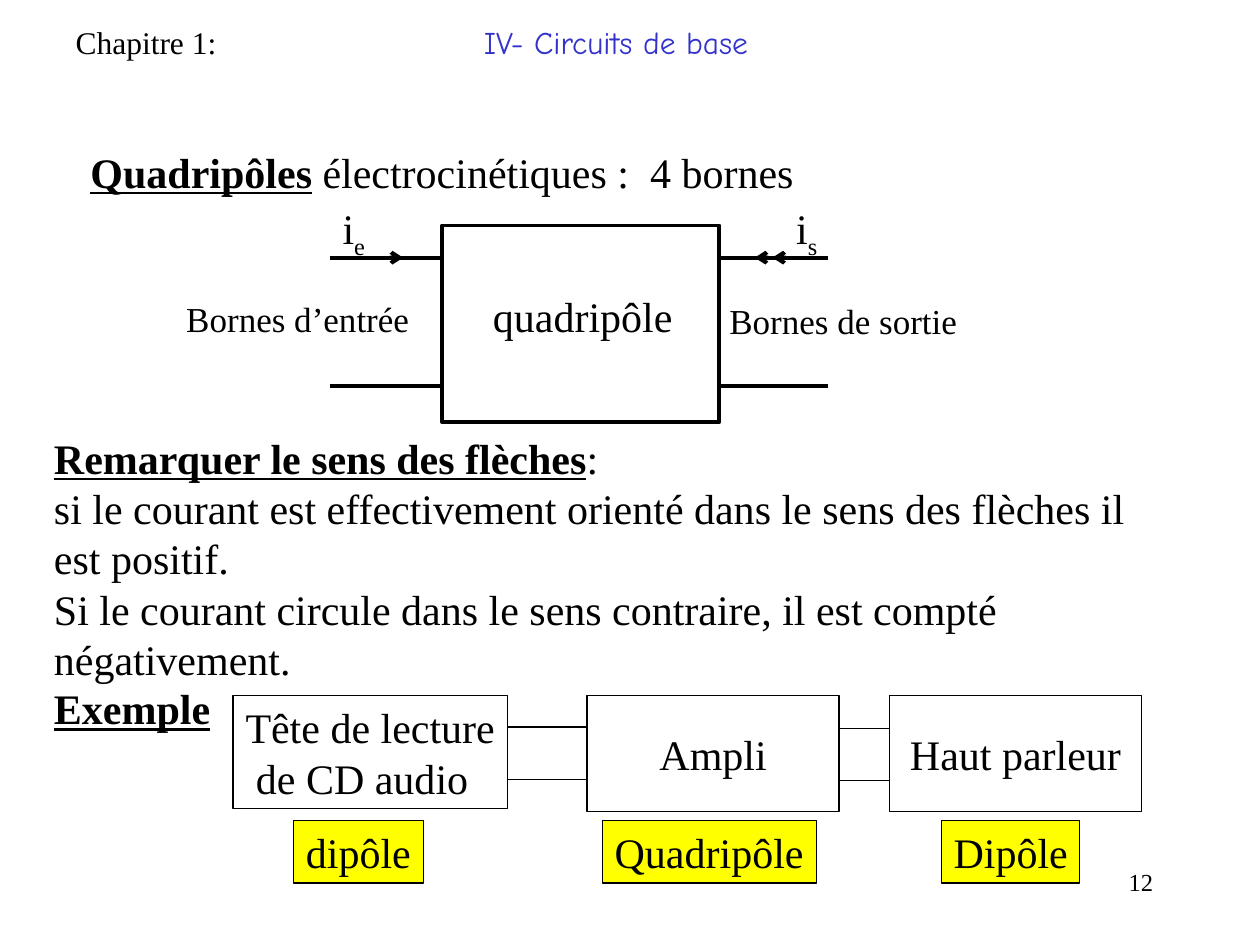
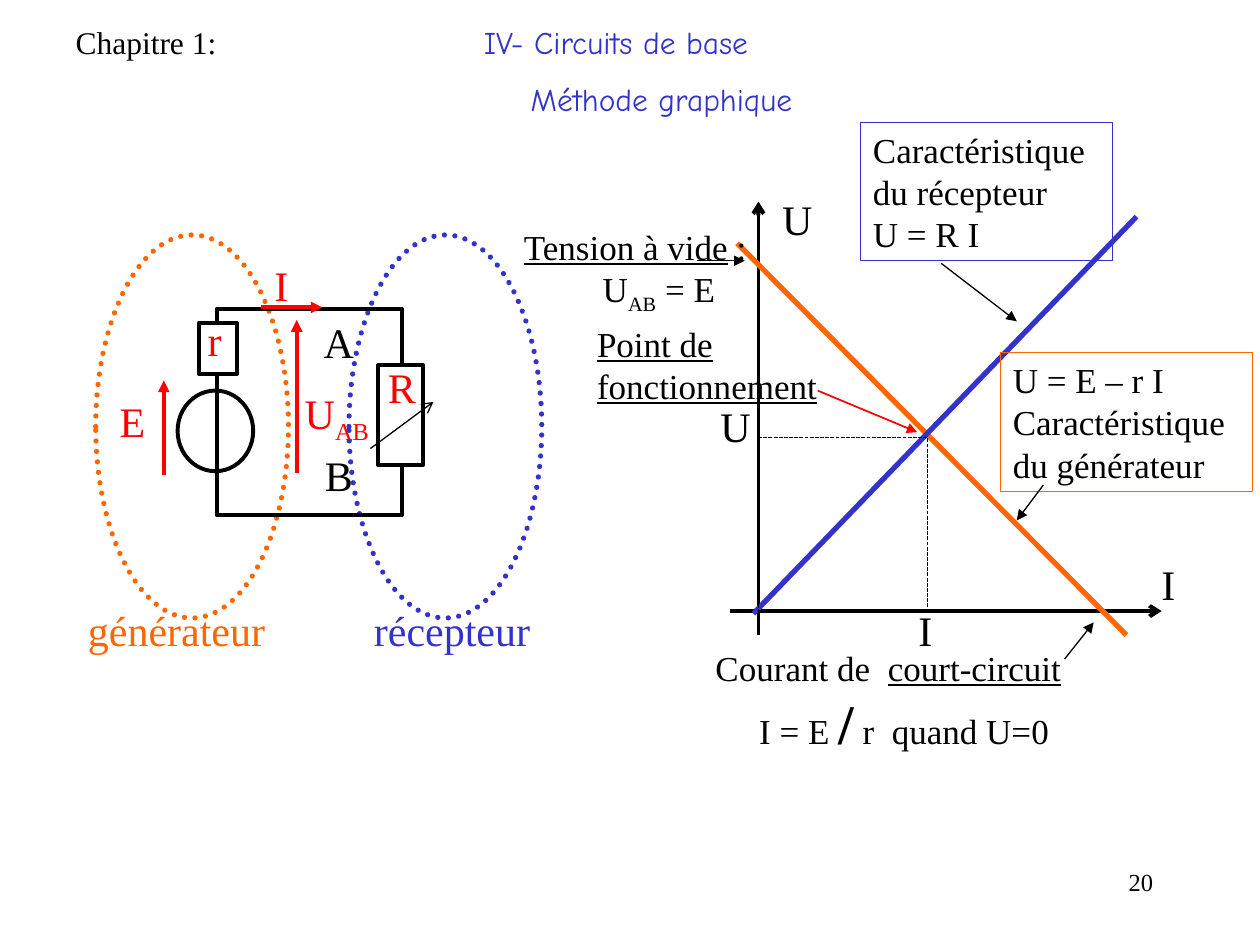
from dataclasses import dataclass

from lxml import etree
from pptx import Presentation
from pptx import util as u
from pptx.dml.color import RGBColor
from pptx.enum import dml, shapes, text
from pptx.oxml import ns

COLORS = {
    "ink": "000000",
    "paper": "FFFFFF",
    "title": "3333CC",
    "generator": "FF6600",
    "signal": "FF0000",
    "tag": "FFFF00",
}
BODY_FONT, TITLE_FONT = "Times New Roman", "Comic Neue"
CELL = u.Inches(10) // 100  # the slide is 100 columns by 75 rows
THIN, MEDIUM, THICK = 0.75, 2.25, 3
LEFT, CENTER, RIGHT = text.PP_ALIGN.LEFT, text.PP_ALIGN.CENTER, text.PP_ALIGN.RIGHT
TOP, MIDDLE = text.MSO_ANCHOR.TOP, text.MSO_ANCHOR.MIDDLE
RECT, OVAL = shapes.MSO_SHAPE.RECTANGLE, shapes.MSO_SHAPE.OVAL
STRONG = {"bold": True, "underline": True}
SUB = {"subscript": True}


@dataclass
class Para:
    """Spans of text, each a string or a (string, format) pair."""
    spans: list
    indent: float = 0
    tab: float = 0
    before: float = 0
    align: object = None


def cells(*counts):
    return [round(count * CELL) for count in counts]


def rgb(name):
    return RGBColor.from_string(COLORS[name])


# Text
def add_span(para, words, size=24, color="ink", font=BODY_FONT,
             bold=False, underline=False, subscript=False):
    span = para.add_run()
    span.text = words
    span.font.name = font
    span.font.size = u.Pt(size)
    span.font.bold = bold
    span.font.underline = underline
    span.font.color.rgb = rgb(color)
    if subscript:
        span.font._element.set("baseline", "-25000")


def write(frame, *paras, align=LEFT, anchor=TOP, wrap=True, **style):
    frame.auto_size = text.MSO_AUTO_SIZE.NONE
    frame.word_wrap = wrap
    frame.vertical_anchor = anchor
    frame.margin_left = frame.margin_right = u.Inches(0.1)
    frame.margin_top = frame.margin_bottom = u.Inches(0.05)
    for number, item in enumerate(paras):
        item = item if isinstance(item, Para) else Para([item])
        para = frame.paragraphs[0] if number == 0 else frame.add_paragraph()
        para.alignment = item.align or align
        para.space_before = u.Pt(item.before)
        properties = para._p.get_or_add_pPr()
        if item.indent:
            properties.set("marL", str(cells(item.indent)[0]))
            properties.set("indent", "0")
        if item.tab:
            stops = etree.SubElement(properties, ns.qn("a:tabLst"))
            etree.SubElement(stops, ns.qn("a:tab"), pos=str(cells(item.tab)[0]), algn="l")
        for span in item.spans:
            words, extra = (span, {}) if isinstance(span, str) else span
            add_span(para, words, **{**style, **extra})


def add_label(page, place, *paras, **style):
    box = page.shapes.add_textbox(*cells(*place))
    write(box.text_frame, *paras, **style)


# Shapes and lines
def style_line(line, color, width, dash=None):
    line.color.rgb = rgb(color)
    line.width = u.Pt(width)
    if dash:
        line.dash_style = dash


def add_figure(page, place, *paras, kind=RECT, fill=None, line="ink",
               width=THIN, dash=None, **style):
    figure = page.shapes.add_shape(kind, *cells(*place))
    figure.shadow.inherit = False
    if fill:
        figure.fill.solid()
        figure.fill.fore_color.rgb = rgb(fill)
    else:
        figure.fill.background()
    style_line(figure.line, line, width, dash)
    if paras:
        write(figure.text_frame, *paras, **style)
    return figure


def add_line(page, start, end, color="ink", width=THIN, arrow=None):
    line = page.shapes.add_connector(shapes.MSO_CONNECTOR.STRAIGHT, *cells(*start, *end))
    style_line(line.line, color, width)
    properties = line._element.spPr
    if arrow:
        outline = properties.find(ns.qn("a:ln"))
        etree.SubElement(outline, ns.qn("a:tailEnd"), type=arrow)
    etree.SubElement(properties, ns.qn("a:effectLst"))


def add_dotted_oval(page, place, color):
    oval = add_figure(page, place, kind=OVAL, line=color, width=THICK,
                      dash=dml.MSO_LINE.ROUND_DOT)
    oval._element.spPr.find(ns.qn("a:ln")).set("cap", "rnd")


# Parts shared by both slides
def add_page(deck, number, subtitle=None):
    page = deck.slides.add_slide(deck.slide_layouts[5])
    title = page.shapes.title
    title.left, title.top, title.width, title.height = cells(5, 1.3, 95, 8.6 if subtitle else 4)
    blue = {"font": TITLE_FONT, "color": "title"}
    paras = [Para(["Chapitre 1:\t", ("IV- Circuits de base", blue)], tab=32.4)]
    if subtitle:
        paras.append(Para([(subtitle, blue)], before=11.2, align=CENTER))
    write(title.text_frame, *paras, size=18)
    add_label(page, (71.7, 68.3, 20.8, 5), str(number), size=14, align=RIGHT)
    return page


# Slide: two-port networks
def draw_two_port(page):
    add_figure(page, (35.1, 17.9, 22, 15.6), fill="paper", width=MEDIUM)
    add_label(page, (36.5, 22.6, 19.5, 5), "quadripôle", align=CENTER)
    for row in (20.45, 30.6):
        for column in (26.2, 56.9):
            add_line(page, (column, row), (column + 8.85, row), width=MEDIUM)
    for start, end in ((29.3, 32), (64, 61.3), (62.6, 59.9)):
        add_line(page, (start, 20.45), (end, 20.45), width=MEDIUM, arrow="arrow")
    add_label(page, (13.8, 23.1, 22.7, 4.4), "Bornes d’entrée", size=20)
    add_label(page, (56.9, 23.3, 20.4, 4.4), "Bornes de sortie", size=20)
    for column, index in ((26.2, "e"), (62.2, "s")):
        add_label(page, (column, 15.6, 6.2, 5.6), Para(["i", (index, SUB)]))


def draw_audio_chain(page):
    for start, row in ((40.2, 57.7), (65.1, 57.8)):
        for offset in (0, 4.15):
            add_line(page, (start, row + offset), (start + 7.4, row + offset))
    add_label(page, (3.3, 53.7, 15.2, 5), "Exemple", **STRONG)
    add_figure(page, (18.5, 55.2, 21.8, 9), "Tête de lecture",
               Para(["de CD audio"], indent=0.83), fill="paper", wrap=False)
    for column, name in ((46.6, "Ampli"), (70.6, "Haut parleur")):
        add_figure(page, (column, 55.2, 20, 9.2), name, fill="paper",
                   align=CENTER, anchor=MIDDLE, wrap=False)
    for column, width, name in ((23.3, 10.3, "dipôle"), (47.8, 17, "Quadripôle"),
                                (74.7, 11, "Dipôle")):
        add_figure(page, (column, 65.1, width, 5), name, fill="tag", wrap=False)


def build_two_port_page(deck):
    page = add_page(deck, 12)
    add_label(page, (6.2, 11.1, 60, 5),
              Para([("Quadripôles", STRONG), " électrocinétiques :  4 bornes"]))
    draw_two_port(page)
    add_label(page, (3.3, 33.8, 87.8, 21),
              Para([("Remarquer le sens des flèches", STRONG), ":"]),
              "si le courant est effectivement orienté dans le sens des flèches il est positif.",
              "Si le courant circule dans le sens contraire, il est compté négativement.")
    draw_audio_chain(page)


# Slide: graphical method
def draw_circuit(page):
    for column, name, left, color in ((7.6, "générateur", 6, "generator"),
                                      (27.7, "récepteur", 28.7, "title")):
        add_dotted_oval(page, (column, 18.65, 15.3, 30.4), color)
        add_label(page, (left, 47.5, 18, 5), name, color=color)
    add_figure(page, (14.1, 31, 6, 6.4), kind=OVAL, fill="paper", width=MEDIUM)
    add_figure(page, (17.2, 24.5, 14.7, 16.4), width=MEDIUM)
    for resistor in ((15.8, 25.6, 3, 4.1), (30, 29, 3.6, 7.9)):
        add_figure(page, resistor, fill="paper", width=MEDIUM)
    for start, end in (((13, 37.7), (13, 30.2)), ((23.55, 37.5), (23.55, 25.4)),
                       ((20.7, 24.4), (25.6, 24.4))):
        add_line(page, start, end, color="signal", width=MEDIUM, arrow="triangle")
    add_line(page, (29.4, 35.6), (34.4, 31.9), arrow="arrow")
    for column, row, name, color in ((24.7, 24.6, "A", "ink"), (24.8, 35.2, "B", "ink"),
                                     (8.5, 30.9, "E", "signal"), (20.8, 20.1, "I", "signal"),
                                     (15.5, 24.5, "r", "signal"), (29.8, 28.2, "R", "signal")):
        add_label(page, (column, row, 5.5, 5), name, color=color)
    add_label(page, (23.2, 30.3, 9.9, 5.6), Para(["U", ("AB", SUB)]), color="signal")


def draw_graph(page):
    # Axes and characteristics
    for start, end in (((60.2, 50.4), (60.2, 16)), ((57.9, 48.5), (92.2, 48.5))):
        add_line(page, start, end, width=MEDIUM, arrow="arrow")
    add_line(page, (58.5, 19.3), (89.4, 50.4), color="generator", width=THICK)
    add_line(page, (59.8, 48.7), (90.2, 17.2), color="title", width=THICK)
    add_figure(page, (60.2, 34.7, 13.4, 13.8), dash=dml.MSO_LINE.SQUARE_DOT)
    for column, row, name in ((61.1, 14.9, "U"), (91.2, 43.8, "I"),
                              (56.2, 31.3, "U"), (71.9, 47.5, "I")):
        add_label(page, (column, row, 5, 5), name)

    # Legends and remarks
    add_figure(page, (79.4, 28, 20, 11), "U = E – r I", "Caractéristique du générateur",
               line="generator", size=20)
    add_figure(page, (68.3, 9.7, 20, 11), "Caractéristique du récepteur", "U = R I",
               line="title", size=20)
    under = {"underline": True}
    add_label(page, (40.6, 17.4, 20.5, 11.5), Para([("Tension à vide", under), " :"]),
              Para(["U", ("AB", SUB), " = E"], indent=6.25), size=20)
    add_label(page, (46.4, 25.1, 19.6, 7.7), "Point de fonctionnement", size=20, **under)
    add_label(page, (55.8, 50.8, 30.5, 9.7),
              Para(["Courant de  ", ("court-circuit", under)]),
              Para(["I = E ", ("/", {"size": 32, "bold": True}), " r  quand U=0"], indent=3.47),
              size=20)
    for start, end in (((55.3, 20.7), (59.1, 20.7)), ((84.5, 52.3), (86.8, 49.4)),
                       ((82.8, 38.5), (80.7, 41.3)), ((74.7, 20.9), (80.7, 25.5))):
        add_line(page, start, end, arrow="triangle")
    add_line(page, (64.9, 31), (72.8, 34.3), color="signal", width=1, arrow="triangle")


def build_graph_page(deck):
    page = add_page(deck, 20, "Méthode graphique")
    draw_circuit(page)
    draw_graph(page)


def main():
    deck = Presentation()
    deck.slide_width, deck.slide_height = cells(100, 75)
    build_two_port_page(deck)
    build_graph_page(deck)
    deck.save("out.pptx")


if __name__ == "__main__":
    main()
